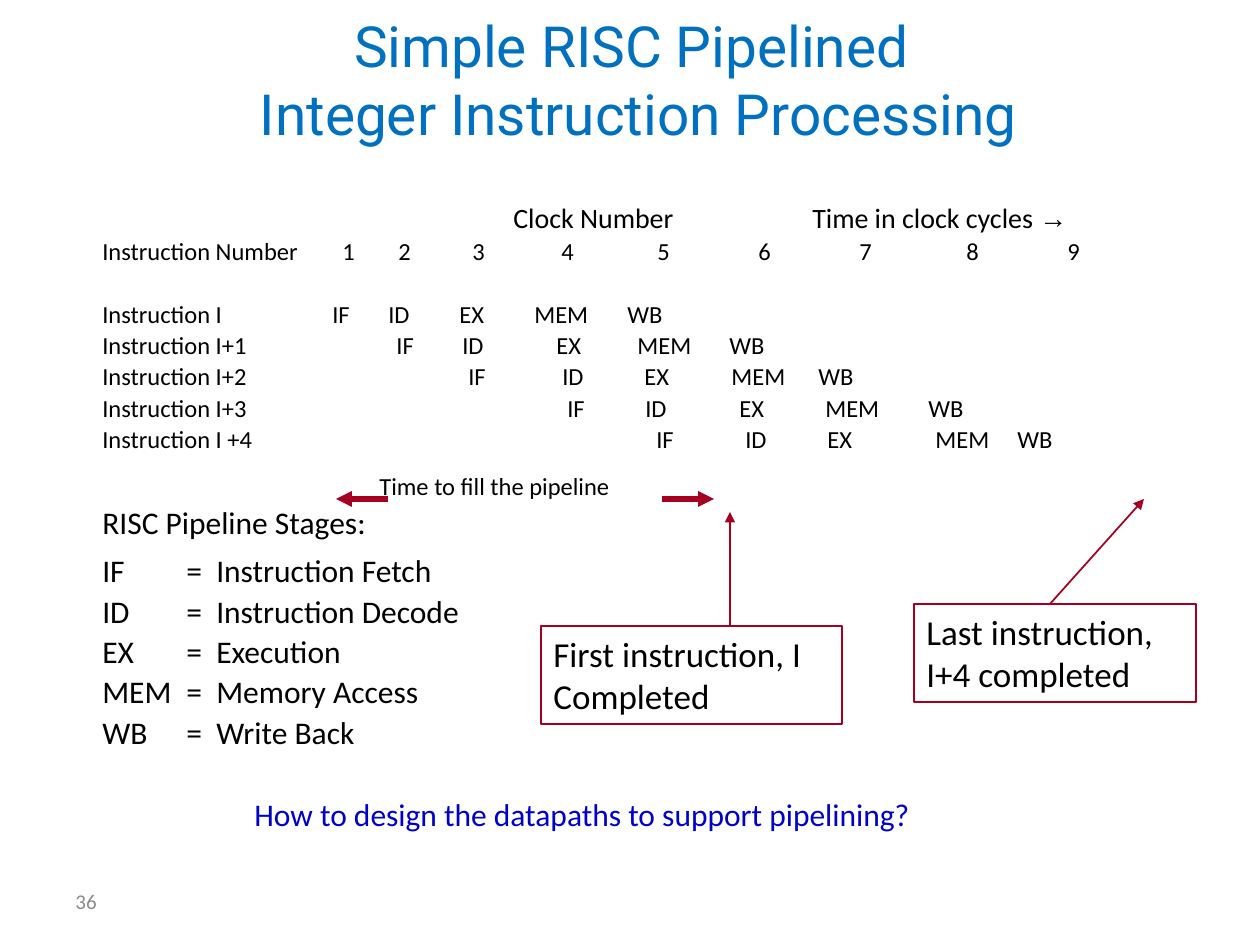
from lxml import etree
from pptx import Presentation
from pptx.dml.color import RGBColor
from pptx.enum.shapes import MSO_CONNECTOR, MSO_SHAPE
from pptx.enum.text import MSO_ANCHOR, PP_ALIGN
from pptx.oxml.ns import qn
from pptx.util import Emu, Pt

SCALE = 914400 // 126
BLACK = RGBColor(0x00, 0x00, 0x00)
TITLE_BLUE = RGBColor(0x00, 0x70, 0xC0)
QUESTION_BLUE = RGBColor(0x00, 0x00, 0xCC)
CRIMSON = RGBColor(0xA5, 0x00, 0x21)
GRAY = RGBColor(0x8C, 0x8C, 0x8C)
LEFT, CENTER = PP_ALIGN.LEFT, PP_ALIGN.CENTER
TOP, MIDDLE = MSO_ANCHOR.TOP, MSO_ANCHOR.MIDDLE
RECTANGLE, STRAIGHT = MSO_SHAPE.RECTANGLE, MSO_CONNECTOR.STRAIGHT

BODY_TEXT_LEFT = 102
STAGES = ["IF", "ID", "EX", "MEM", "WB"]
STAGE_NAMES = ["Instruction Fetch", "Instruction Decode", "Execution",
               "Memory Access", "Write Back"]
STAGE_TABS = [186, 216]
CLOCK_TABS = [342, 398, 472, 561, 657, 758, 859, 966, 1067]
INSTRUCTIONS = [
    ("Instruction I", [332, 388, 459, 534, 627]),
    ("Instruction I+1", [396, 462, 556, 637, 729]),
    ("Instruction I+2", [468, 562, 644, 731, 818]),
    ("Instruction I+3", [567, 645, 739, 825, 928]),
    ("Instruction I +4", [656, 745, 827, 935, 1017]),
]


def px(length):
    """Turn pixels into EMU."""
    return Emu(length * SCALE)


def add_run(paragraph, text, size=14, color=BLACK, font="Calibri", bold=False):
    """Add one formatted run to a paragraph."""
    run = paragraph.add_run()
    run.text = text
    run.font.size = Pt(size)
    run.font.name = font
    run.font.bold = bold
    run.font.color.rgb = color


def write(frame, text, align=LEFT, spacing=1.0, before=0, tabs=(), **style):
    """Write a paragraph, using the empty first one if it is still free."""
    paragraph = frame.paragraphs[0]
    if paragraph.runs:
        paragraph = frame.add_paragraph()
    paragraph.alignment = align
    paragraph.line_spacing = spacing
    paragraph.space_before = Pt(before)
    if tabs:
        properties = paragraph._p.get_or_add_pPr()
        tab_list = etree.SubElement(properties, qn("a:tabLst"))
        for tab in tabs:
            position = str(px(tab - BODY_TEXT_LEFT))
            etree.SubElement(tab_list, qn("a:tab"), pos=position, algn="l")
    add_run(paragraph, text, **style)
    return paragraph


class SlideBuilder:
    """Holds the current slide and draws elements in its style."""

    def __init__(self, slide):
        """Keep the slide to draw on."""
        self.slide = slide

    def text_box(self, left, top, width, height, anchor=TOP):
        """Add an empty wrapping text box and return its frame."""
        box = self.slide.shapes.add_textbox(px(left), px(top), px(width), px(height))
        box.text_frame.word_wrap = True
        box.text_frame.vertical_anchor = anchor
        return box.text_frame

    def callout(self, left, top, width, height, lines):
        """Add an outlined box with one paragraph per line."""
        shape = self.slide.shapes.add_shape(
            RECTANGLE, px(left), px(top), px(width), px(height))
        shape.shadow.inherit = False
        shape.fill.background()
        shape.line.color.rgb = CRIMSON
        shape.line.width = Pt(1)
        shape.text_frame.word_wrap = True
        shape.text_frame.vertical_anchor = TOP
        for line in lines:
            write(shape.text_frame, line, size=20)

    def arrow(self, start, end, width=1):
        """Add a straight arrow pointing at its end."""
        connector = self.slide.shapes.add_connector(
            STRAIGHT, px(start[0]), px(start[1]), px(end[0]), px(end[1]))
        connector.line.color.rgb = CRIMSON
        connector.line.width = Pt(width)
        etree.SubElement(connector.line._get_or_add_ln(), qn("a:tailEnd"), type="triangle")
        etree.SubElement(connector._element.spPr, qn("a:effectLst"))


def add_body(builder):
    """Write the timing chart and the list of stages."""
    frame = builder.text_box(90, 198, 1102, 615)

    def row(cells, tabs=(), size=14, before=None):
        """Write one row of tabbed cells."""
        gap = round(size * 0.2, 2) if before is None else before
        return write(frame, "\t".join(cells), tabs=tabs, size=size,
                     spacing=0.9, before=gap)

    heading = row(["", "Clock Number", "Time in clock cycles "], [513, 812], 16, 0)
    add_run(heading, "→", size=16, font="Arial", bold=True)
    row(["Instruction Number"] + [str(clock) for clock in range(1, 10)], CLOCK_TABS)
    for index, (name, tabs) in enumerate(INSTRUCTIONS):
        row([name] + STAGES, tabs, before=None if index else 20.6)
    row(["", "Time to fill the pipeline"], [379], before=11.5)
    row(["RISC Pipeline Stages:"], size=18)
    for index, (stage, name) in enumerate(zip(STAGES, STAGE_NAMES)):
        row([stage, "=", name], STAGE_TABS, 18, None if index else 8.4)


def main():
    """Build and save the slide."""
    presentation = Presentation()
    presentation.slide_width, presentation.slide_height = px(1260), px(945)
    builder = SlideBuilder(presentation.slides.add_slide(presentation.slide_layouts[6]))

    number = builder.text_box(63, 876, 294, 50, MIDDLE)
    write(number, "36", size=12, color=GRAY)
    title = builder.text_box(87, 21, 1103, 116, MIDDLE)
    for line in ("Simple RISC Pipelined ", "Integer Instruction Processing"):
        write(title, line, align=CENTER, size=32.4, color=TITLE_BLUE, font="Roboto")

    add_body(builder)
    builder.arrow((662, 499), (714, 499), 3)
    builder.arrow((388, 499), (336, 499), 3)
    builder.callout(541, 626, 301, 98, ["First instruction, I", "Completed"])
    builder.callout(914, 604, 282, 98, ["Last instruction,", "I+4 completed"])
    builder.arrow((1050, 604), (1144, 499))
    builder.arrow((730, 626), (730, 512))

    question = builder.text_box(242, 793, 879, 58)
    write(question, "How to design the datapaths to support pipelining?",
          size=18, color=QUESTION_BLUE, spacing=0.9)
    presentation.save("out.pptx")


main()
